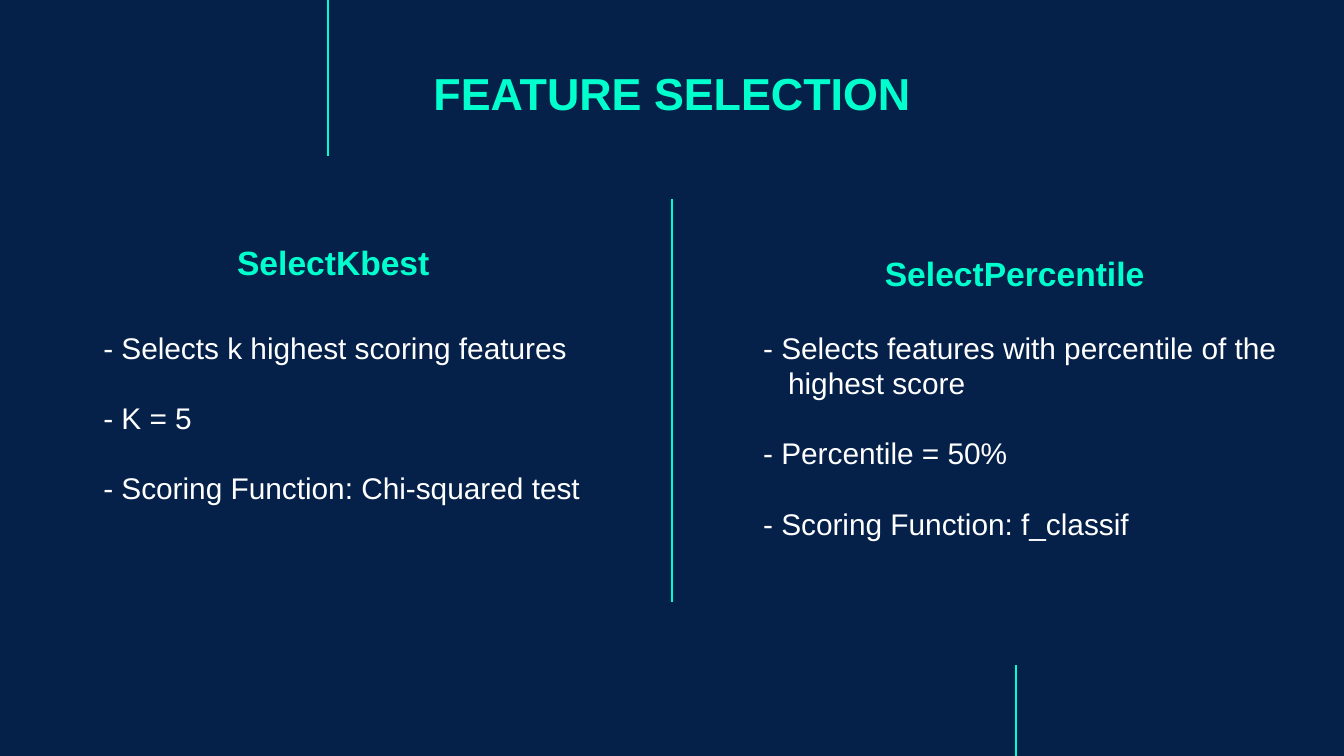
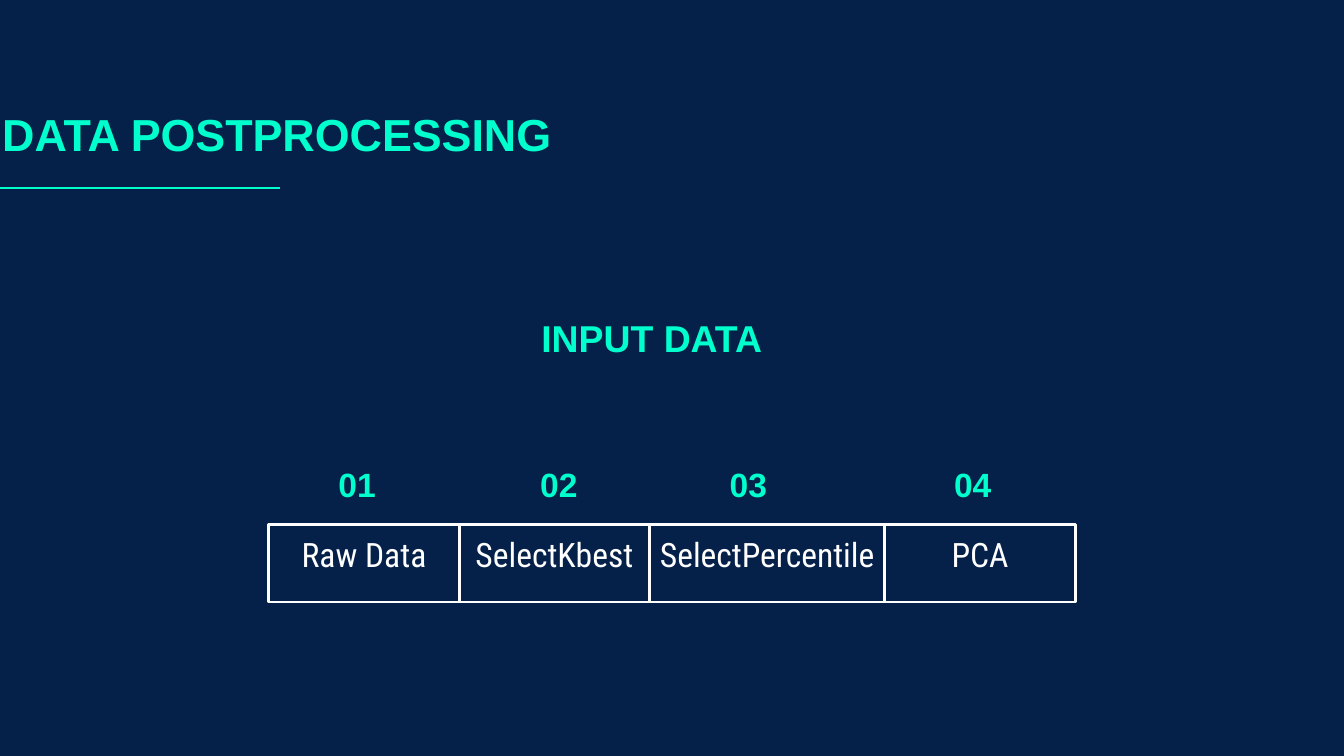
from dataclasses import dataclass
from itertools import accumulate

from lxml import etree
from pptx import Presentation
from pptx.dml.color import RGBColor
from pptx.enum.shapes import MSO_CONNECTOR, MSO_SHAPE
from pptx.enum.text import MSO_ANCHOR, MSO_AUTO_SIZE, PP_ALIGN
from pptx.oxml.ns import qn
from pptx.presentation import Presentation as Deck
from pptx.slide import Slide
from pptx.text.text import TextFrame
from pptx.util import Inches, Pt

COLUMNS, ROWS = 100, 56.25
CELL = Inches(0.1)
COLORS = {"navy": "05214A", "mint": "00FFCD", "white": "FFFFFF"}
HEADING_FONT = "Arial"
STEP_FONT = "Roboto Condensed"
TITLE_ONLY = 5
LEFT, CENTER = PP_ALIGN.LEFT, PP_ALIGN.CENTER
TOP, MIDDLE, BOTTOM = MSO_ANCHOR.TOP, MSO_ANCHOR.MIDDLE, MSO_ANCHOR.BOTTOM
NO_RESIZE = MSO_AUTO_SIZE.NONE
STRAIGHT = MSO_CONNECTOR.STRAIGHT
RECTANGLE = MSO_SHAPE.RECTANGLE


@dataclass(frozen=True)
class Area:
    column: float
    row: float
    columns: float
    rows: float

    def lengths(self) -> list[int]:
        return [cells(n) for n in (self.column, self.row, self.columns, self.rows)]


@dataclass(frozen=True)
class TextStyle:
    size: float
    color: str = "mint"
    font: str = HEADING_FONT
    bold: bool = True
    align: PP_ALIGN = CENTER
    anchor: MSO_ANCHOR = TOP
    insets: tuple[float, float, float, float] = (1, 1, 1, 1)
    space_after: float = 0
    hanging: float = 0


@dataclass(frozen=True)
class Method:
    name: str
    name_area: Area
    points: tuple[str, ...]
    points_area: Area


@dataclass(frozen=True)
class Step:
    name: str
    columns: float
    number_column: float


TITLE = TextStyle(24)
METHOD_NAME = TextStyle(18, anchor=BOTTOM)
POINTS = TextStyle(16, "white", bold=False, align=LEFT,
                   insets=(1, 0.5, 1, 0.5), space_after=18.4, hanging=1.85)
INPUT_HEADING = TextStyle(20, anchor=BOTTOM)
STEP_NUMBER = TextStyle(18, align=LEFT, anchor=MIDDLE)
STEP_NAME = TextStyle(18, "white", STEP_FONT, bold=False, insets=(0, 0.7, 0, 0))

METHODS = (
    Method(
        "SelectKbest", Area(15, 17.3, 19.6, 4.7),
        ("- Selects k highest scoring features",
         "- K = 5",
         "- Scoring Function: Chi-squared test"),
        Area(6.7, 24, 57.5, 17.2),
    ),
    Method(
        "SelectPercentile", Area(62.7, 18.1, 25.6, 4.7),
        ("- Selects features with percentile of the highest score",
         "- Percentile = 50%",
         "- Scoring Function: f_classif"),
        Area(55.8, 24, 42.5, 27.9),
    ),
)

STEPS = (
    Step("Raw Data", 14.17, 24.2),
    Step("SelectKbest", 14.17, 39.2),
    Step("SelectPercentile", 17.5, 53.3),
    Step("PCA", 14.17, 70),
)
STEPS_LEFT, STEPS_TOP, STEP_ROWS = 20, 39, 5.8
NUMBERS_TOP = 33.1


def cells(count: float) -> int:
    return round(count * CELL)


def color(name: str) -> RGBColor:
    return RGBColor.from_string(COLORS[name])


def write(frame: TextFrame, lines: tuple[str, ...], style: TextStyle) -> None:
    frame.word_wrap = True
    frame.auto_size = NO_RESIZE
    frame.vertical_anchor = style.anchor
    left, top, right, bottom = map(cells, style.insets)
    frame.margin_left, frame.margin_top = left, top
    frame.margin_right, frame.margin_bottom = right, bottom
    for index, line in enumerate(lines):
        para = frame.add_paragraph() if index else frame.paragraphs[0]
        para.alignment = style.align
        para.space_after = Pt(style.space_after)
        if style.hanging:
            properties = para._p.get_or_add_pPr()
            properties.set("marL", str(cells(style.hanging)))
            properties.set("indent", str(-cells(style.hanging)))
        span = para.add_run()
        span.text = line
        span.font.name = style.font
        span.font.size = Pt(style.size)
        span.font.bold = style.bold
        span.font.color.rgb = color(style.color)


def add_text(page: Slide, area: Area, style: TextStyle, *lines: str) -> None:
    box = page.shapes.add_textbox(*area.lengths())
    write(box.text_frame, lines, style)


def add_rule(page: Slide, area: Area) -> None:
    left, top, width, height = area.lengths()
    rule = page.shapes.add_connector(STRAIGHT, left, top, left + width, top + height)
    rule.line.color.rgb = color("mint")
    rule.line.width = Pt(0.75)
    etree.SubElement(rule._element.spPr, qn("a:effectLst"))


def add_page(deck: Deck, title: str, column: float, row: float) -> Slide:
    page = deck.slides.add_slide(deck.slide_layouts[TITLE_ONLY])
    heading = page.shapes.title
    area = Area(column, row, 57, 10.3)
    heading.left, heading.top, heading.width, heading.height = area.lengths()
    write(heading.text_frame, (title,), TITLE)
    return page


def add_step(page: Slide, number: int, column: float, step: Step) -> None:
    area = Area(column, STEPS_TOP, step.columns, STEP_ROWS)
    box = page.shapes.add_shape(RECTANGLE, *area.lengths())
    box.shadow.inherit = False
    box.fill.background()
    box.line.color.rgb = color("white")
    box.line.width = Pt(1.5)
    write(box.text_frame, (step.name,), STEP_NAME)
    add_text(page, Area(step.number_column, NUMBERS_TOP, STEP_ROWS, STEP_ROWS),
             STEP_NUMBER, f"{number:02}")


def build_feature_selection(deck: Deck) -> None:
    page = add_page(deck, "FEATURE SELECTION", 21.5, 3.9)
    add_rule(page, Area(24.4, 0, 0, 11.6))
    add_rule(page, Area(COLUMNS / 2, 14.8, 0, 30))
    add_rule(page, Area(75.6, 49.5, 0, ROWS - 49.5))
    for method in METHODS:
        add_text(page, method.name_area, METHOD_NAME, method.name)
        add_text(page, method.points_area, POINTS, *method.points)


def build_postprocessing(deck: Deck) -> None:
    page = add_page(deck, "DATA POSTPROCESSING", -7.9, 6.9)
    add_rule(page, Area(0, 14, 20.8, 0))
    add_text(page, Area(38.7, 23.1, 19.6, 4.7), INPUT_HEADING, "INPUT DATA")
    columns = accumulate((step.columns for step in STEPS), initial=STEPS_LEFT)
    for number, (column, step) in enumerate(zip(columns, STEPS), start=1):
        add_step(page, number, column, step)


def main() -> None:
    deck = Presentation()
    deck.slide_width, deck.slide_height = cells(COLUMNS), cells(ROWS)
    backdrop = deck.slide_master.background.fill
    backdrop.solid()
    backdrop.fore_color.rgb = color("navy")
    build_feature_selection(deck)
    build_postprocessing(deck)
    deck.save("out.pptx")


if __name__ == "__main__":
    main()
